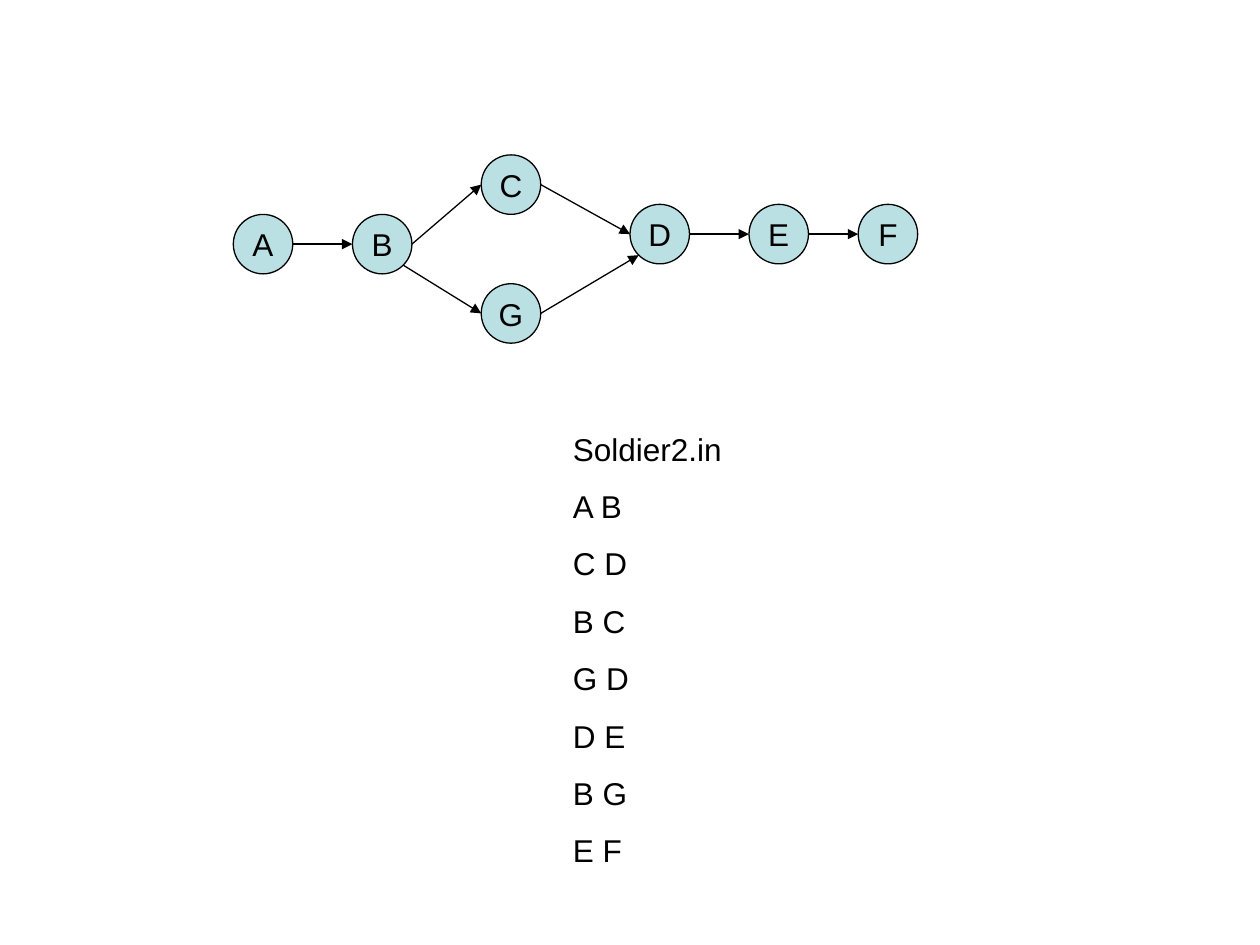
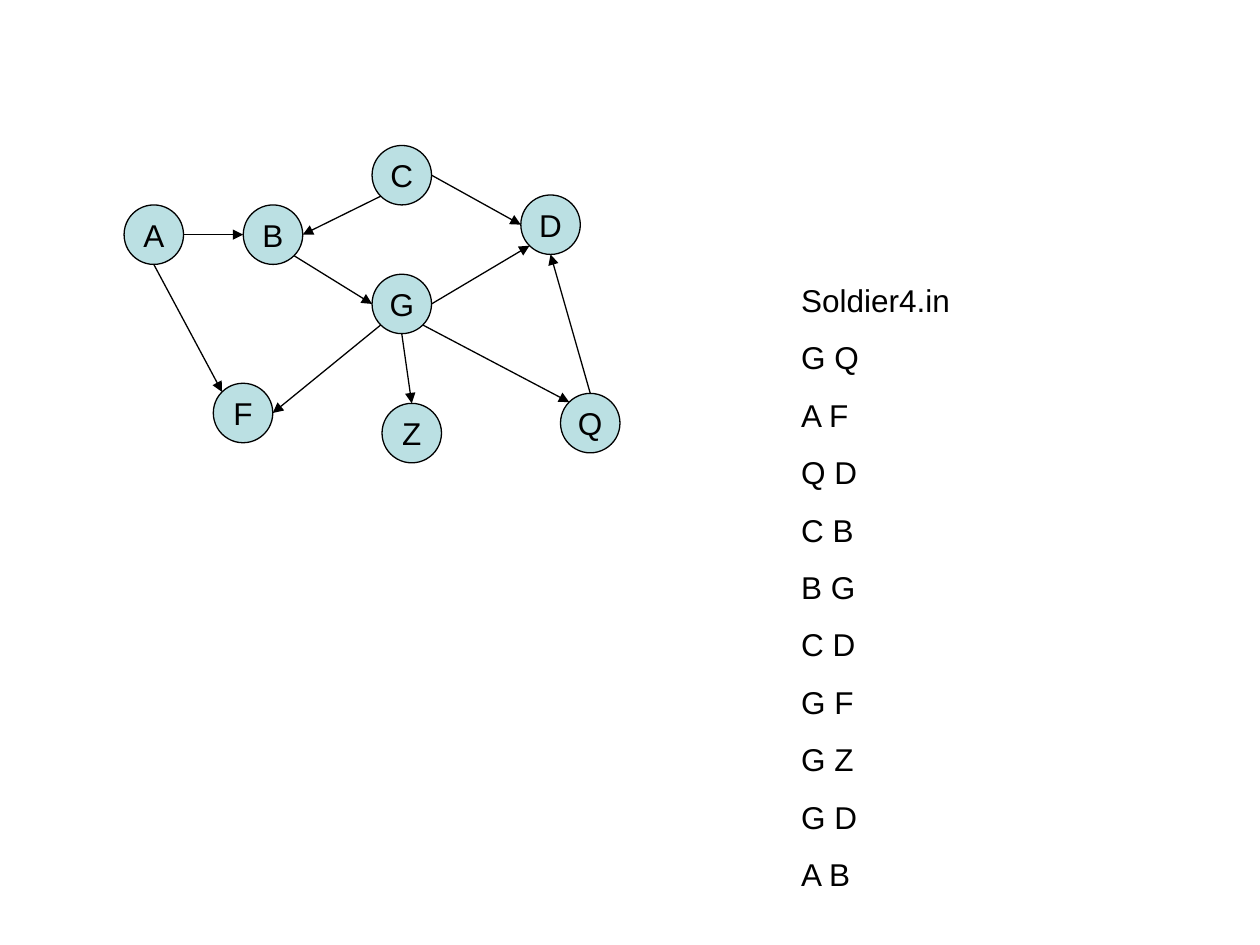
import math

import lxml.etree
import pptx
import pptx.dml.color
import pptx.enum.shapes
import pptx.enum.text
import pptx.oxml.ns
import pptx.util

Pt = pptx.util.Pt
qn = pptx.oxml.ns.qn

NODE_FILL = pptx.dml.color.RGBColor(0xBB, 0xE0, 0xE3)
INK = pptx.dml.color.RGBColor(0x00, 0x00, 0x00)
FONT = "Arial"
TEXT_SIZE = 18
LINE_WIDTH = 0.75
DIAMETER = 34
LIST_WIDTH = 170
LINE_GAP = 11.2

DIAGONAL = math.sqrt(0.5)
SITES = {
    "top": (0, -1),
    "bottom": (0, 1),
    "left": (-1, 0),
    "right": (1, 0),
    "top left": (-DIAGONAL, -DIAGONAL),
    "bottom left": (-DIAGONAL, DIAGONAL),
    "bottom right": (DIAGONAL, DIAGONAL),
}

SHARED_NODES = {
    "A": (133.3, 122.5),
    "B": (201.4, 122.5),
    "C": (275, 88.5),
    "D": (360, 116.8),
    "G": (275, 162.1),
}
SHIFT = (-62.4, -5.4)

SOLDIER2_NODES = SHARED_NODES | {"E": (428, 116.8), "F": (490.4, 116.8)}
SOLDIER2_EDGES = {
    "A B": ("right", "left"),
    "C D": ("right", "left"),
    "B C": ("right", "left"),
    "G D": ("right", "bottom left"),
    "D E": ("right", "left"),
    "B G": ("bottom right", "left"),
    "E F": ("right", "left"),
}

SOLDIER4_NODES = {
    letter: (left + SHIFT[0], top + SHIFT[1])
    for letter, (left, top) in SHARED_NODES.items()
} | {"F": (121.9, 219), "Z": (218.3, 230.5), "Q": (320.3, 224.8)}
SOLDIER4_EDGES = {
    "G Q": ("bottom right", "top left"),
    "A F": ("bottom", "top left"),
    "Q D": ("top", "bottom"),
    "C B": ("bottom left", "right"),
    "B G": ("bottom right", "left"),
    "C D": ("right", "left"),
    "G F": ("bottom left", "right"),
    "G Z": ("bottom", "top"),
    "G D": ("right", "bottom left"),
    "A B": ("right", "left"),
}


def add_text(paragraph, text):
    run = paragraph.add_run()
    run.text = text
    run.font.name = FONT
    run.font.size = Pt(TEXT_SIZE)
    run.font.color.rgb = INK


def style_line(line):
    line.color.rgb = INK
    line.width = Pt(LINE_WIDTH)


def add_node(slide, letter, corner):
    node = slide.shapes.add_shape(
        pptx.enum.shapes.MSO_SHAPE.OVAL,
        Pt(corner[0]), Pt(corner[1]), Pt(DIAMETER), Pt(DIAMETER))
    node.shadow.inherit = False
    node.fill.solid()
    node.fill.fore_color.rgb = NODE_FILL
    style_line(node.line)
    frame = node.text_frame
    frame.word_wrap = False
    frame.vertical_anchor = pptx.enum.text.MSO_ANCHOR.MIDDLE
    label = frame.paragraphs[0]
    label.alignment = pptx.enum.text.PP_ALIGN.CENTER
    add_text(label, letter)


def site_point(corner, site):
    radius = DIAMETER / 2
    return [Pt(start + radius * (1 + reach))
            for start, reach in zip(corner, SITES[site])]


def add_arrow(slide, start, end):
    arrow = slide.shapes.add_connector(
        pptx.enum.shapes.MSO_CONNECTOR.STRAIGHT, *start, *end)
    style_line(arrow.line)
    tip = lxml.etree.SubElement(arrow.line._get_or_add_ln(), qn("a:tailEnd"))
    tip.set("type", "triangle")
    lxml.etree.SubElement(arrow._element.spPr, qn("a:effectLst"))


def add_edge_list(slide, heading, edges, left, top, height):
    box = slide.shapes.add_textbox(
        Pt(left), Pt(top), Pt(LIST_WIDTH), Pt(height))
    frame = box.text_frame
    frame.word_wrap = True
    frame.auto_size = pptx.enum.text.MSO_AUTO_SIZE.SHAPE_TO_FIT_TEXT
    for index, entry in enumerate([heading, *edges]):
        paragraph = frame.add_paragraph() if index else frame.paragraphs[0]
        paragraph.space_before = Pt(LINE_GAP)
        add_text(paragraph, entry)


def add_graph(slide, nodes, edges):
    for letter, corner in nodes.items():
        add_node(slide, letter, corner)
    for edge, (leaving, entering) in edges.items():
        source, target = edge.split()
        add_arrow(slide, site_point(nodes[source], leaving),
                  site_point(nodes[target], entering))


def main():
    deck = pptx.Presentation()
    deck.slide_width = Pt(720)
    deck.slide_height = Pt(540)
    blank = deck.slide_layouts[6]

    soldier2 = deck.slides.add_slide(blank)
    add_graph(soldier2, SOLDIER2_NODES, SOLDIER2_EDGES)
    add_edge_list(soldier2, "Soldier2.in", SOLDIER2_EDGES, 320.3, 242, 259)

    soldier4 = deck.slides.add_slide(blank)
    add_graph(soldier4, SOLDIER4_NODES, SOLDIER4_EDGES)
    add_edge_list(soldier4, "Soldier4.in", SOLDIER4_EDGES, 450.7, 157, 358)

    deck.save("out.pptx")


if __name__ == "__main__":
    main()
